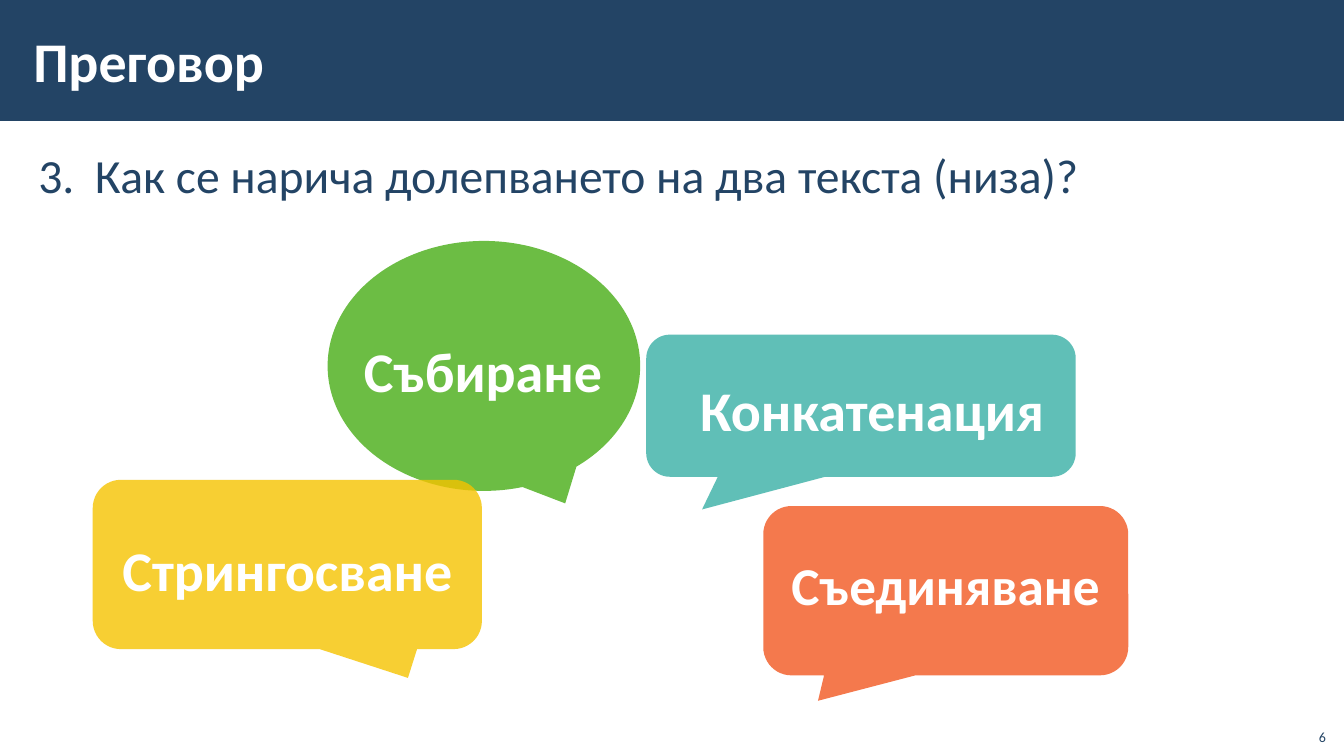
from dataclasses import dataclass

from lxml.etree import SubElement
from pptx import Presentation
from pptx.dml.color import RGBColor
from pptx.enum.shapes import MSO_SHAPE
from pptx.enum.text import MSO_ANCHOR, MSO_AUTO_SIZE, PP_ALIGN
from pptx.oxml.ns import qn
from pptx.util import Pt

PX = 9144  # EMU in one px, 100 px to the inch
FONT = "Calibri"
NAVY = RGBColor(0x23, 0x44, 0x65)
WHITE = RGBColor(0xFF, 0xFF, 0xFF)
TEAL = RGBColor(0x60, 0xBF, 0xB7)
GREEN = RGBColor(0x6C, 0xBD, 0x44)
YELLOW = RGBColor(0xF5, 0xC3, 0x00)
ORANGE = RGBColor(0xF4, 0x79, 0x4D)

Box = tuple[int, int, int, int]  # left, top, width, height in px
ROUND = MSO_SHAPE.ROUNDED_RECTANGULAR_CALLOUT
OVAL = MSO_SHAPE.OVAL_CALLOUT


@dataclass(frozen=True)
class Answer:
    text: str
    bubble: Box
    label: Box
    color: RGBColor
    tip: tuple[float, float]
    outline: MSO_SHAPE = ROUND
    opacity: int = 100
    size: int = 40
    spacing: float = 1.1
    align: PP_ALIGN = PP_ALIGN.CENTER
    anchor: MSO_ANCHOR = MSO_ANCHOR.TOP
    inset: tuple[int, int] = (16, 12)


ANSWERS = [
    Answer("Конкатенация", (641, 332, 426, 141), (671, 354, 388, 94), TEAL,
           (-0.37, 0.73)),
    Answer("Събиране", (325, 239, 310, 248), (345, 322, 276, 91), GREEN,
           (0.26, 0.55), outline=OVAL, spacing=1.0, align=PP_ALIGN.LEFT),
    Answer("Стрингосване", (92, 476, 386, 168), (104, 513, 362, 94), YELLOW,
           (0.31, 0.67), opacity=80),
    Answer("Съединяване", (757, 502, 362, 168), (692, 533, 492, 94), ORANGE,
           (-0.35, 0.65), size=38, spacing=1.0, anchor=MSO_ANCHOR.MIDDLE,
           inset=(10, 5)),
]


def emu(box: Box) -> list[int]:
    return [length * PX for length in box]


def write(holder, text: str, *, size: int, color: RGBColor, bold: bool = False,
          align: PP_ALIGN = PP_ALIGN.LEFT, anchor: MSO_ANCHOR = MSO_ANCHOR.TOP,
          inset: tuple[int, int] = (10, 5), spacing: float = 1.0, gap: int = 0):
    """Fill the holder with one formatted paragraph and return it."""
    frame = holder.text_frame
    frame.word_wrap = True
    frame.auto_size = MSO_AUTO_SIZE.NONE
    frame.vertical_anchor = anchor
    frame.margin_left = frame.margin_right = inset[0] * PX
    frame.margin_top = frame.margin_bottom = inset[1] * PX
    paragraph = frame.paragraphs[0]
    paragraph.alignment = align
    paragraph.line_spacing = spacing
    paragraph.space_before = paragraph.space_after = Pt(gap)
    run = paragraph.add_run()
    run.text = text
    run.font.name = FONT
    run.font.size = Pt(size)
    run.font.bold = bold
    run.font.color.rgb = color
    return paragraph


def number(paragraph, start: int, indent: int) -> None:
    """Number the paragraph with a hanging indent in px."""
    properties = paragraph._p.get_or_add_pPr()
    properties.set("marL", str(indent * PX))
    properties.set("indent", str(-indent * PX))
    SubElement(properties, qn("a:buFont"), typeface="+mj-lt")
    SubElement(properties, qn("a:buAutoNum"), type="arabicPeriod", startAt=str(start))


def add_filled(slide, outline: MSO_SHAPE, box: Box, color: RGBColor):
    shape = slide.shapes.add_shape(outline, *emu(box))
    shape.shadow.inherit = False
    shape.fill.solid()
    shape.fill.fore_color.rgb = color
    shape.line.fill.background()
    return shape


def add_answer(slide, answer: Answer) -> None:
    bubble = add_filled(slide, answer.outline, answer.bubble, answer.color)
    bubble.adjustments[0], bubble.adjustments[1] = answer.tip
    if answer.opacity < 100:
        tint = bubble.element.spPr.find(qn("a:solidFill"))[0]
        SubElement(tint, qn("a:alpha"), val=str(answer.opacity * 1000))
    label = slide.shapes.add_textbox(*emu(answer.label))
    write(label, answer.text, size=answer.size, color=WHITE, bold=True,
          align=answer.align, anchor=answer.anchor, inset=answer.inset,
          spacing=answer.spacing)


def main() -> None:
    deck = Presentation()
    deck.slide_width, deck.slide_height = 1333 * PX, 750 * PX
    slide = deck.slides.add_slide(deck.slide_layouts[5])

    # Title on its band
    title = slide.shapes.title
    title.left, title.top, title.width, title.height = emu((21, 11, 1063, 97))
    write(title, "Преговор", size=40, color=WHITE, bold=True,
          anchor=MSO_ANCHOR.MIDDLE, inset=(12, 4))
    band = add_filled(slide, MSO_SHAPE.RECTANGLE, (0, 0, 1333, 120), NAVY)
    title.element.addprevious(band.element)

    # Question
    question = slide.shapes.add_textbox(*emu((26, 138, 1291, 567)))
    line = write(question, "Как се нарича долепването на два текста (низа)?",
                 size=34, color=NAVY, inset=(12, 4), spacing=1.05, gap=6)
    number(line, start=3, indent=56)

    # Possible answers
    for answer in ANSWERS:
        add_answer(slide, answer)

    # Page number
    page = slide.shapes.add_textbox(*emu((1285, 712, 40, 32)))
    write(page, "6", size=10, color=NAVY, align=PP_ALIGN.RIGHT,
          anchor=MSO_ANCHOR.BOTTOM)

    deck.save("out.pptx")


if __name__ == "__main__":
    main()
